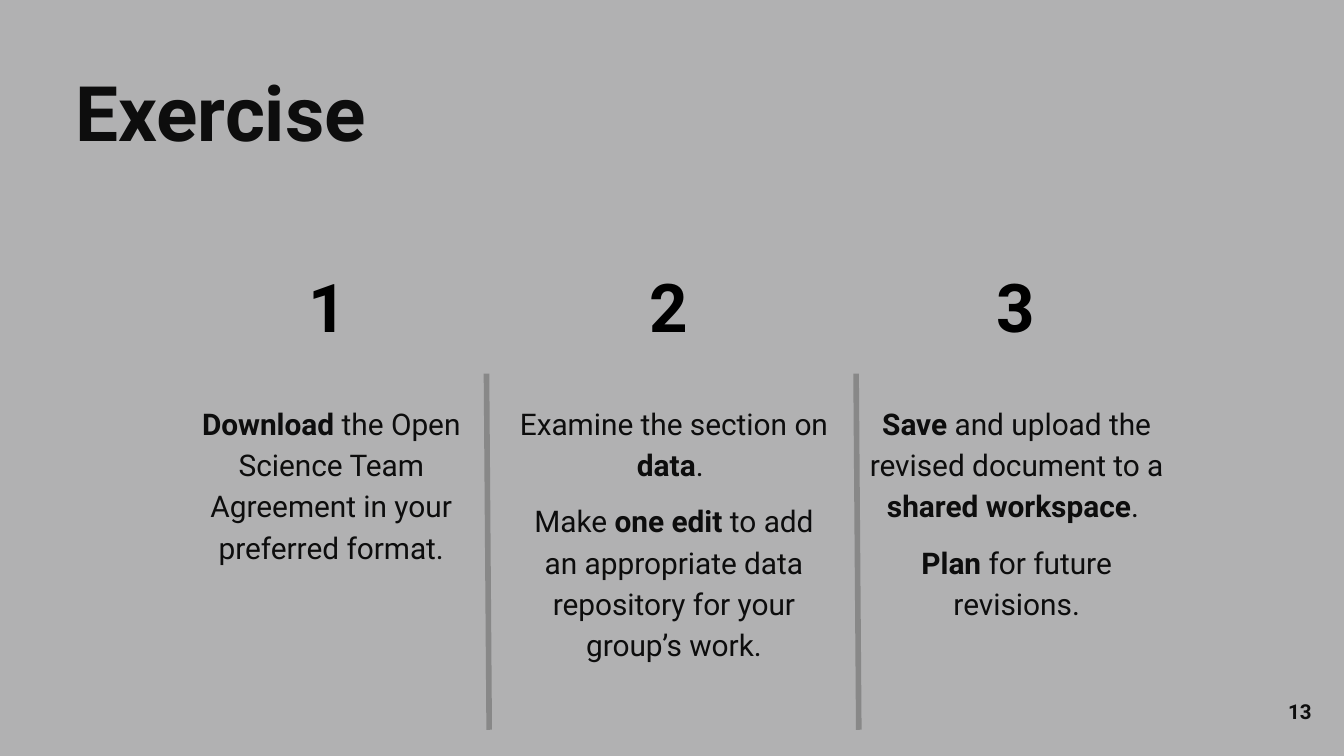
from dataclasses import dataclass

from lxml import etree
from pptx import Presentation
from pptx.dml.color import RGBColor
from pptx.enum.shapes import MSO_CONNECTOR
from pptx.enum.text import MSO_ANCHOR, PP_ALIGN
from pptx.oxml.ns import qn
from pptx.util import Inches, Pt

STRAIGHT = MSO_CONNECTOR.STRAIGHT
TOP, MIDDLE = MSO_ANCHOR.TOP, MSO_ANCHOR.MIDDLE
LEFT, CENTER, RIGHT = PP_ALIGN.LEFT, PP_ALIGN.CENTER, PP_ALIGN.RIGHT


@dataclass(frozen=True)
class Theme:
    font: str = "Roboto"
    background: str = "B1B1B2"
    ink: str = "0D0D0D"
    numeral: str = "000000"
    rule: str = "888888"
    title_size: int = 41
    numeral_size: int = 36
    body_size: int = 16
    page_size: int = 11
    rule_width: int = 3


class SlideBuilder:
    def __init__(self, prs, theme):
        self.theme = theme
        self.slide = prs.slides.add_slide(prs.slide_layouts[6])
        fill = self.slide.background.fill
        fill.solid()
        fill.fore_color.rgb = RGBColor.from_string(theme.background)

    def text(self, box, paragraphs, size, color=None, anchor=TOP, inset=0, formats=None):
        """Add a text box; words between ** marks are bold."""
        sp = self.slide.shapes.add_textbox(*map(Inches, box))
        tf = sp.text_frame
        frame = {"word_wrap": True, "vertical_anchor": anchor}
        for side in ("left", "right", "top", "bottom"):
            frame[f"margin_{side}"] = Inches(inset)
        for name, value in frame.items():
            setattr(tf, name, value)
        for i, content in enumerate(paragraphs):
            p = tf.add_paragraph() if i else tf.paragraphs[0]
            for name, value in (formats[i] if formats else {}).items():
                setattr(p, name, value)
            for j, part in enumerate(content.split("**")):
                if part:
                    self.run(p, part, size, color or self.theme.ink, bold=j % 2 == 1)

    def run(self, p, content, size, color, bold):
        r = p.add_run()
        r.text = content
        style = {"name": self.theme.font, "size": Pt(size), "bold": bold}
        for name, value in style.items():
            setattr(r.font, name, value)
        r.font.color.rgb = RGBColor.from_string(color)

    def title(self, content):
        self.text((0.56, 0.56, 7.09, 0.79), [f"**{content}**"], self.theme.title_size,
                  formats=[{"alignment": LEFT, "line_spacing": 0.9}])

    def page_number(self, number):
        self.text((9.16, 5.19, 0.6, 0.2), [f"**{number}**"], self.theme.page_size,
                  anchor=MIDDLE, formats=[{"alignment": RIGHT}])

    def numeral(self, left, number):
        self.text((left, 2.01, 0.6, 0.53), [f"**{number}**"], self.theme.numeral_size,
                  self.theme.numeral, MIDDLE, 0.1, [{"alignment": CENTER}])

    def body(self, left, paragraphs):
        base = {"alignment": CENTER, "line_spacing": 1.15}
        formats = [dict(base) for _ in paragraphs]
        formats[-1]["space_after"] = Pt(8)
        for later in formats[1:]:
            later["space_before"] = Pt(8)
        self.text((left, 2.98, 2.31, 2.46), paragraphs, self.theme.body_size, formats=formats)

    def divider(self, left):
        ends = (left, 2.78, left + 0.02, 5.43)
        line = self.slide.shapes.add_connector(STRAIGHT, *map(Inches, ends))
        line.line.color.rgb = RGBColor.from_string(self.theme.rule)
        line.line.width = Pt(self.theme.rule_width)
        etree.SubElement(line._element.spPr, qn("a:effectLst"))


# Left edge of each numeral, then the paragraphs under it
STEPS = [
    (2.14, ["**Download** the Open Science Team Agreement in your preferred format."]),
    (4.68, ["Examine the section on **data**. ",
            "Make **one edit** to add an appropriate data repository for your group’s work."]),
    (7.26, ["**Save** and upload the revised document to a **shared workspace**. ",
            "**Plan** for future revisions."]),
]
BODY_LEFT, BODY_PITCH = 1.31, 2.55
DIVIDERS = (3.62, 6.37)


def main():
    prs = Presentation()
    prs.slide_width = Inches(10)
    prs.slide_height = prs.slide_width * 9 // 16
    s = SlideBuilder(prs, Theme())
    s.title("Exercise")
    for i, (numeral_left, paragraphs) in enumerate(STEPS):
        s.numeral(numeral_left, i + 1)
        s.body(BODY_LEFT + i * BODY_PITCH, paragraphs)
    for left in DIVIDERS:
        s.divider(left)
    s.page_number(13)
    prs.save("out.pptx")


if __name__ == "__main__":
    main()
